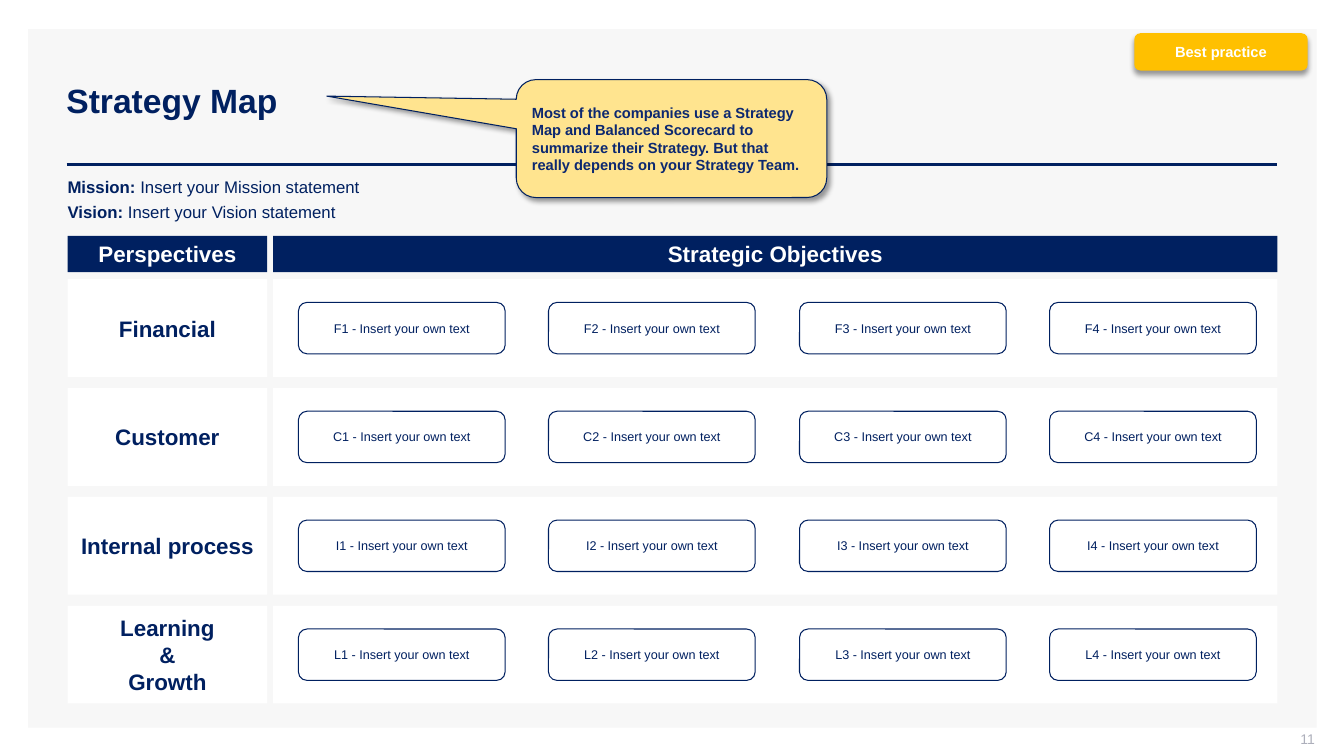
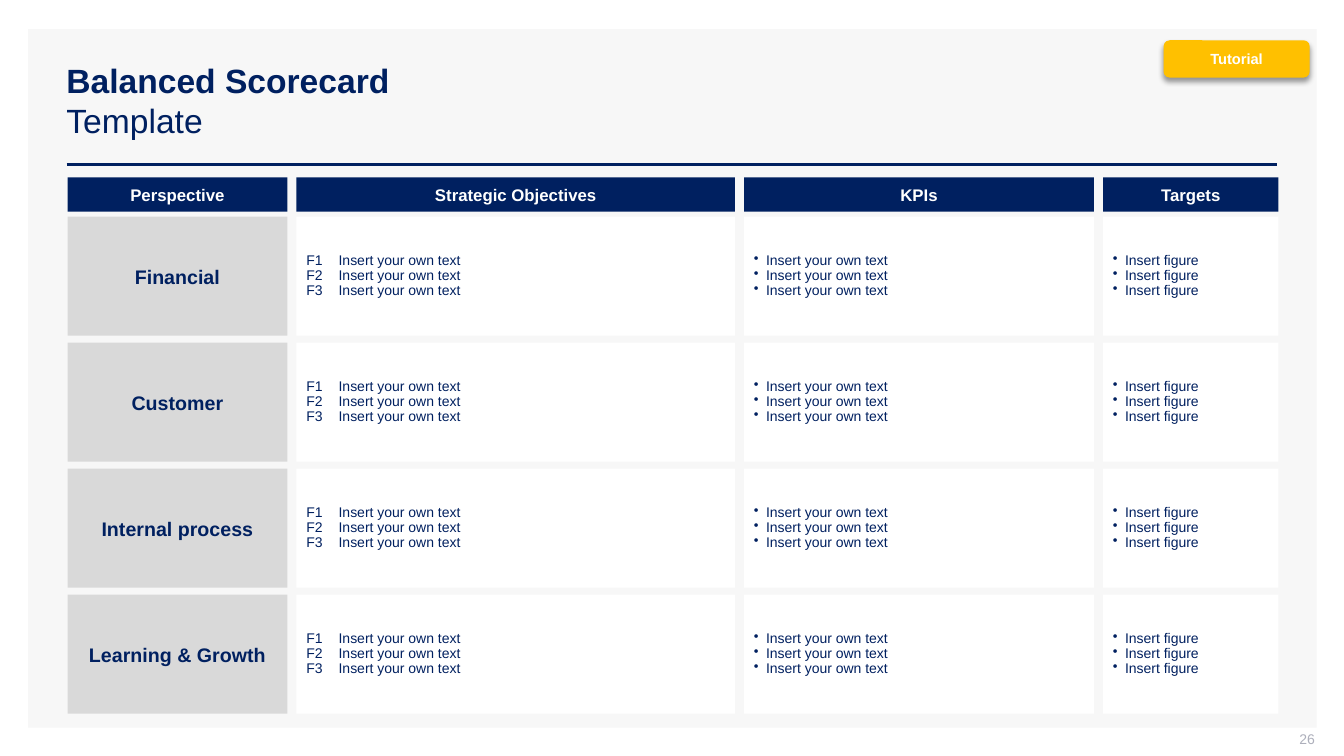
import dataclasses

import lxml.etree
import pptx
import pptx.dml.color
import pptx.enum.shapes
import pptx.enum.text
import pptx.oxml.ns
import pptx.util

PX = 9144  # EMU in one px: 100 px to the inch
SHAPE = pptx.enum.shapes.MSO_SHAPE
ALIGN = pptx.enum.text.PP_ALIGN
ANCHOR = pptx.enum.text.MSO_ANCHOR
qn = pptx.oxml.ns.qn


@dataclasses.dataclass(frozen=True)
class Theme:
    font: str = "Arial"
    navy: str = "002060"
    callout_text: str = "0C2870"
    white: str = "FFFFFF"
    panel: str = "F7F7F7"
    grey: str = "D9D9D9"
    page_number: str = "ADAFBB"
    amber: str = "FFC000"
    pale_amber: str = "FFE48F"
    title_size: float = 24
    heading_size: float = 16
    label_size: float = 14
    body_size: float = 12
    note_size: float = 10.5
    small_size: float = 10
    pill_size: float = 9
    rule_width: float = 2
    outline_width: float = 0.75


def rgb(value):
    return pptx.dml.color.RGBColor.from_string(value)


class Deck:
    def __init__(self, theme):
        self.theme = theme
        self.prs = pptx.Presentation()
        self.prs.slide_width = 1333 * PX
        self.prs.slide_height = 750 * PX
        self.s = None

    def new_slide(self, title, number):
        """Start a slide with the shared panel, rule, title and page number."""
        t = self.theme
        self.s = self.prs.slides.add_slide(self.prs.slide_layouts[6])
        self.box(28, 29, 1278, 693, t.panel)
        self.rule(66, 163, 1267)
        tf = self.text(56, 40, 1211, 119, title, t.title_size, t.navy, bold=True)
        for p in tf.paragraphs[1:]:
            p.runs[0].font.bold = False
        tf = self.text(1004, 725, 300, 21, str(number), t.small_size,
                       t.page_number, align=ALIGN.RIGHT)
        tf.margin_top = tf.margin_right = 0

    def rule(self, left, y, right):
        line = self.s.shapes.add_connector(
            pptx.enum.shapes.MSO_CONNECTOR.STRAIGHT,
            left * PX, y * PX, right * PX, y * PX)
        line.line.color.rgb = rgb(self.theme.navy)
        line.line.width = pptx.util.Pt(self.theme.rule_width)
        lxml.etree.SubElement(line._element.spPr, qn("a:effectLst"))

    def fill_text(self, tf, text, size, color, bold=False, align=ALIGN.LEFT):
        tf.word_wrap = True
        tf.vertical_anchor = ANCHOR.MIDDLE
        tf.text = text
        for p in tf.paragraphs:
            p.alignment = align
            for r in p.runs:
                self.style(r, size, color, bold)
        return tf

    def style(self, r, size, color, bold):
        r.font.name = self.theme.font
        r.font.size = pptx.util.Pt(size)
        r.font.bold = bold
        r.font.color.rgb = rgb(color)

    def text(self, x, y, w, h, text, size, color, **look):
        sp = self.s.shapes.add_textbox(x * PX, y * PX, w * PX, h * PX)
        return self.fill_text(sp.text_frame, text, size, color, **look)

    def box(self, x, y, w, h, fill, kind=SHAPE.RECTANGLE, outline=None):
        sp = self.s.shapes.add_shape(kind, x * PX, y * PX, w * PX, h * PX)
        sp.shadow.inherit = False
        sp.fill.solid()
        sp.fill.fore_color.rgb = rgb(fill)
        if outline:
            sp.line.color.rgb = rgb(outline)
            sp.line.width = pptx.util.Pt(self.theme.outline_width)
        else:
            sp.line.fill.background()
        return sp

    def drop_shadow(self, sp, angle):
        effects = sp._element.spPr.find(qn("a:effectLst"))
        shadow = lxml.etree.SubElement(
            effects, qn("a:outerShdw"), blurRad=str(pptx.util.Pt(4)),
            dist=str(pptx.util.Pt(3)), dir=str(angle * 60000),
            algn="t", rotWithShape="0")
        black = lxml.etree.SubElement(shadow, qn("a:srgbClr"), val="000000")
        lxml.etree.SubElement(black, qn("a:alpha"), val="40000")

    def label(self, x, y, w, h, text, size, fill, color):
        sp = self.box(x, y, w, h, fill)
        self.fill_text(sp.text_frame, text, size, color, bold=True,
                       align=ALIGN.CENTER)

    def header(self, x, y, w, h, text, size):
        self.label(x, y, w, h, text, size, self.theme.navy, self.theme.white)

    def pill(self, x, y, w, h, text):
        t = self.theme
        sp = self.box(x, y, w, h, t.white, SHAPE.ROUNDED_RECTANGLE, t.navy)
        self.fill_text(sp.text_frame, text, t.pill_size, t.navy, align=ALIGN.CENTER)

    def badge(self, x, y, w, text):
        t = self.theme
        sp = self.box(x, y, w, 37, t.amber, SHAPE.ROUNDED_RECTANGLE)
        self.drop_shadow(sp, 90)
        self.fill_text(sp.text_frame, text, t.note_size, t.white, bold=True,
                       align=ALIGN.CENTER)

    def callout(self, x, y, w, h, text, tip):
        """Add a speech bubble; tip is the pointer's offset as shares of w and h."""
        t = self.theme
        sp = self.box(x, y, w, h, t.pale_amber,
                      SHAPE.ROUNDED_RECTANGULAR_CALLOUT, t.navy)
        sp.adjustments[0], sp.adjustments[1] = tip
        self.drop_shadow(sp, 45)
        self.fill_text(sp.text_frame, text, t.note_size, t.callout_text, bold=True)

    def statements(self, x, y, w, h, pairs):
        """Add one paragraph for each bold lead and its plain text."""
        t = self.theme
        leads = "\n".join(lead for lead, _ in pairs)
        tf = self.text(x, y, w, h, leads, t.body_size, t.navy, bold=True)
        tf.vertical_anchor = ANCHOR.TOP
        tf.margin_left = tf.margin_right = tf.margin_top = tf.margin_bottom = 0
        for p, (_, body) in zip(tf.paragraphs, pairs):
            p.space_after = pptx.util.Pt(4)
            r = p.add_run()
            r.text = body
            self.style(r, t.body_size, t.navy, False)

    def list_cell(self, x, y, w, h, lines, indent, bullet=None):
        t = self.theme
        sp = self.box(x, y, w, h, t.white)
        tf = self.fill_text(sp.text_frame, "\n".join(lines), t.small_size, t.navy)
        for p in tf.paragraphs:
            p.line_spacing = 0.9
            pPr = p._p.get_or_add_pPr()
            pPr.set("marL", str(indent * PX))
            pPr.set("indent", str(-indent * PX))
            if bullet:
                lxml.etree.SubElement(pPr, qn("a:buChar"), char=bullet)


def strategy_map(deck):
    t = deck.theme
    deck.new_slide("Strategy Map", 11)
    deck.statements(67, 175, 1187, 46, [
        ("Mission: ", "Insert your Mission statement"),
        ("Vision: ", "Insert your Vision statement"),
    ])
    name_x, name_w, goals_x, goals_w = 67, 198, 271, 996
    deck.header(name_x, 234, name_w, 36, "Perspectives", t.heading_size)
    deck.header(goals_x, 234, goals_w, 36, "Strategic Objectives", t.heading_size)

    names = ["Financial", "Customer", "Internal process", "Learning\n&\nGrowth"]
    for row, name in enumerate(names):
        y = 277 + 108 * row
        deck.label(name_x, y, name_w, 97, name, t.heading_size, t.white, t.navy)
        deck.box(goals_x, y, goals_w, 97, t.white)
        for col in range(4):
            x = 296 + round(745 * col / 3)
            deck.pill(x, y + 23, 205, 51,
                      f"{name[0]}{col + 1} - Insert your own text")

    deck.callout(512, 79, 308, 117,
                 "Most of the companies use a Strategy Map and Balanced Scorecard "
                 "to summarize their Strategy. But that really depends on your "
                 "Strategy Team.", (-1.11, -0.36))
    deck.badge(1125, 33, 172, "Best practice")


def balanced_scorecard(deck):
    t = deck.theme
    deck.new_slide("Balanced Scorecard\nTemplate", 26)
    names = ["Financial", "Customer", "Internal process", "Learning & Growth"]
    objectives = [f"F{i}\tInsert your own text" for i in (1, 2, 3)]
    columns = [  # heading, width, lines, indent, bullet
        ("Perspective", 218, None, 0, None),
        ("Strategic Objectives", 435, objectives, 32, None),
        ("KPIs", 347, ["Insert your own text"] * 3, 12, "•"),
        ("Targets", 174, ["Insert figure"] * 3, 12, "•"),
    ]
    x, gap = 67, 9
    for heading, w, lines, indent, bullet in columns:
        deck.header(x, 176, w, 34, heading, t.body_size)
        for row, name in enumerate(names):
            y = 215 + 125 * row
            if lines:
                deck.list_cell(x, y, w, 118, lines, indent, bullet)
            else:
                deck.label(x, y, w, 118, name, t.label_size, t.grey, t.navy)
        x += w + gap
    deck.badge(1154, 40, 145, "Tutorial")


def main():
    deck = Deck(Theme())
    strategy_map(deck)
    balanced_scorecard(deck)
    deck.prs.save("out.pptx")


if __name__ == "__main__":
    main()
